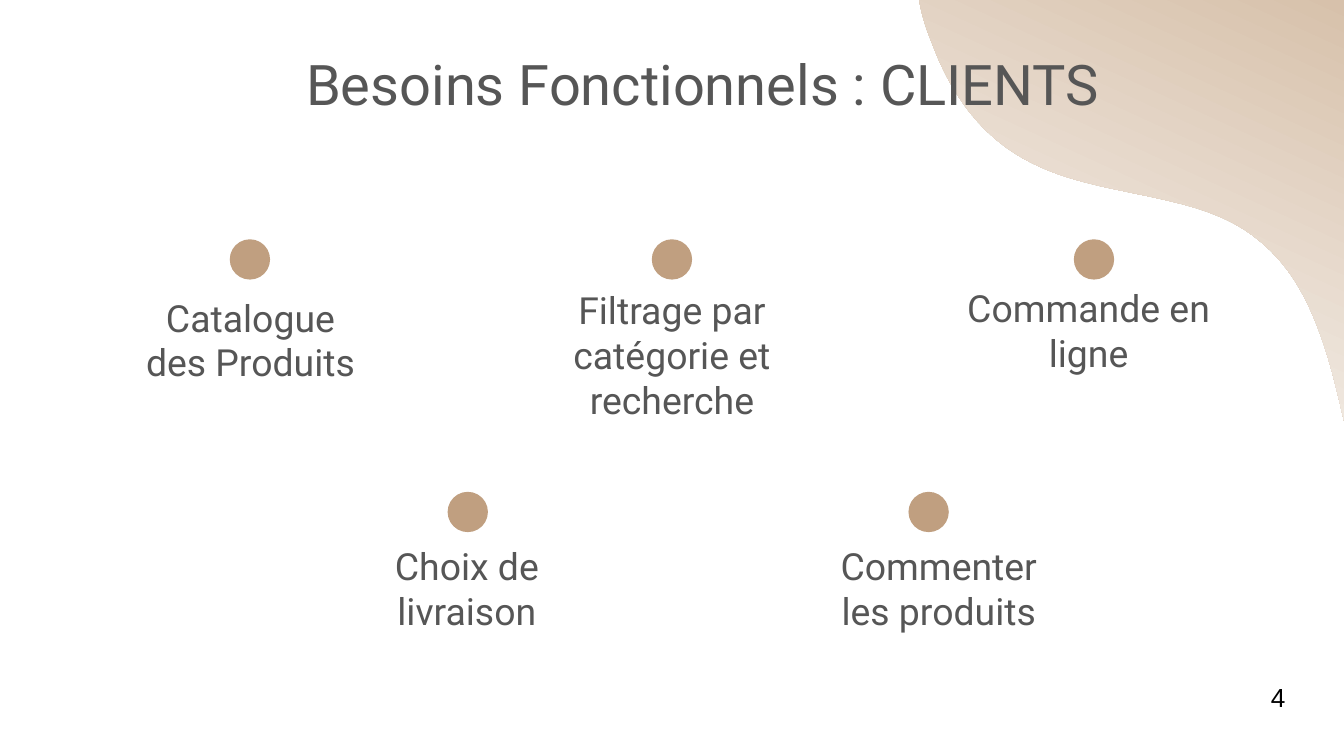
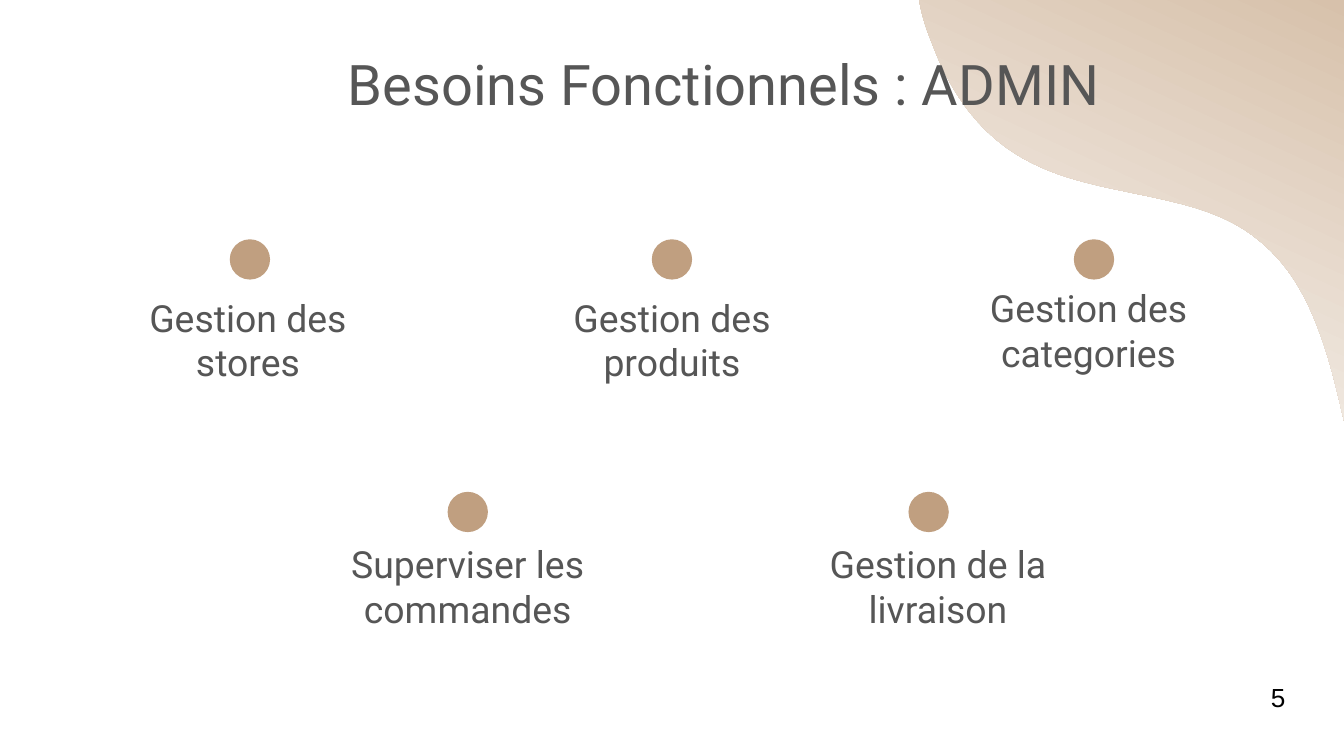
import dataclasses

import pptx
import pptx.dml.color
import pptx.enum.shapes
import pptx.enum.text
import pptx.util

Pt = pptx.util.Pt
ALIGN = pptx.enum.text.PP_ALIGN
ANCHOR = pptx.enum.text.MSO_ANCHOR


@dataclasses.dataclass(frozen=True)
class Theme:
    ink: str = "565656"
    black: str = "000000"
    tan: str = "C09F80"
    sand: str = "D7C1AB"
    cream: str = "FBF9F7"
    font: str = "Roboto"
    plain: str = "Arial"
    title: int = 30
    label: int = 20
    number: int = 14


WIDTH, HEIGHT = 720, 405
DOT = 21.6
DOTS = [(123.1 + 226.1 * col, 128.2) for col in range(3)]
DOTS += [(239.8, 263.5), (486.7, 263.5)]

# Edge of the corner wave: a start point, then cubic curves
START = (492.5, 0)
CURVES = [
    ((493.5, 7), (496, 15), (499, 22.3)),
    ((509, 49.7), (525.6, 74.2), (553.7, 87.8)),
    ((588.2, 105.1), (635.8, 103), (666.7, 123.1)),
    ((687.6, 136.8), (698.4, 155.5), (706.3, 176.4)),
    ((712.8, 193.7), (716.4, 210), (WIDTH, 225.4)),
]

# Each label: text, then left, top, width and height
PAGES = [
    (4, "Besoins Fonctionnels : CLIENTS", [
        ("Catalogue\ndes Produits", (12.2, 158.4, 244.1, 54.7)),
        ("Filtrage par catégorie et recherche", (285.1, 153.4, 149.8, 79.9)),
        ("Commande en ligne", (508.3, 153.4, 149.8, 54.7)),
        ("Choix de livraison", (188.6, 291.6, 123.1, 54.7)),
        ("Commenter les produits", (431.3, 291.6, 143.3, 54.7)),
    ]),
    (5, "Besoins Fonctionnels : ADMIN", [
        ("Gestion des\nstores", (10.8, 158.4, 244.1, 54.7)),
        ("Gestion des produits", (285.1, 133.2, 149.8, 79.9)),
        ("Gestion des categories", (508.3, 153.4, 149.8, 54.7)),
        ("Superviser les commandes", (171.4, 279.4, 158.4, 66)),
        ("Gestion de la livraison", (407.5, 279.4, 190.1, 66)),
    ]),
]


def tint(name):
    return pptx.dml.color.RGBColor.from_string(name)


def trace(start, curves, steps=16):
    """Return points along a chain of cubic curves."""
    points = []
    for a, b, end in curves:
        for step in range(1, steps + 1):
            t = step / steps
            u = 1 - t
            points.append(tuple(
                u**3 * p + 3 * u * u * t * q + 3 * u * t * t * r + t**3 * s
                for p, q, r, s in zip(start, a, b, end)))
        start = end
    return points


class Deck:
    def __init__(self, theme):
        self.theme = theme
        self.file = pptx.Presentation()
        self.file.slide_width = Pt(WIDTH)
        self.file.slide_height = Pt(HEIGHT)
        self.slide = None

    def page(self):
        self.slide = self.file.slides.add_slide(self.file.slide_layouts[6])
        self.wave()

    def wave(self):
        edge = trace(START, CURVES) + [(WIDTH, 0)]
        pen = self.slide.shapes.build_freeform(Pt(START[0]), Pt(START[1]))
        pen.add_line_segments([(Pt(x), Pt(y)) for x, y in edge], close=True)
        shape = pen.convert_to_shape()
        shape.shadow.inherit = False
        shape.line.fill.background()
        shape.fill.gradient()
        shape.fill.gradient_angle = 245.4
        shades = (self.theme.sand, self.theme.cream)
        for stop, shade in zip(shape.fill.gradient_stops, shades):
            stop.color.rgb = tint(shade)

    def dot(self, left, top):
        shape = self.slide.shapes.add_shape(
            pptx.enum.shapes.MSO_SHAPE.OVAL,
            Pt(left), Pt(top), Pt(DOT), Pt(DOT))
        shape.shadow.inherit = False
        shape.fill.solid()
        shape.fill.fore_color.rgb = tint(self.theme.tan)
        shape.line.fill.background()

    def text(self, words, box, size, font, ink, align, anchor, pad=7.2):
        shape = self.slide.shapes.add_textbox(*map(Pt, box))
        frame = shape.text_frame
        frame.word_wrap = True
        frame.vertical_anchor = anchor
        frame.margin_left = frame.margin_right = Pt(7.2)
        frame.margin_top = frame.margin_bottom = Pt(pad)
        para = frame.paragraphs[0]
        para.alignment = align
        for row, line in enumerate(words.split("\n")):
            if row:
                para.add_line_break()
            run = para.add_run()
            run.text = line
            run.font.size = Pt(size)
            run.font.name = font
            run.font.color.rgb = tint(ink)

    def title(self, words):
        look = self.theme
        self.text(words, (85.7, 19.4, 510.5, 49.7), look.title, look.font,
                  look.ink, ALIGN.RIGHT, ANCHOR.TOP)

    def label(self, words, box):
        look = self.theme
        self.text(words, box, look.label, look.font,
                  look.ink, ALIGN.CENTER, ANCHOR.BOTTOM)

    def number(self, value):
        look = self.theme
        self.text(str(value), (668.9, 361.4, 31.7, 24.5), look.number,
                  look.plain, look.black, ALIGN.CENTER, ANCHOR.TOP, pad=3.6)


def main():
    deck = Deck(Theme())
    for number, title, labels in PAGES:
        deck.page()
        for words, box in labels:
            deck.label(words, box)
        deck.title(title)
        for spot in DOTS:
            deck.dot(*spot)
        deck.number(number)
    deck.file.save("out.pptx")


if __name__ == "__main__":
    main()
